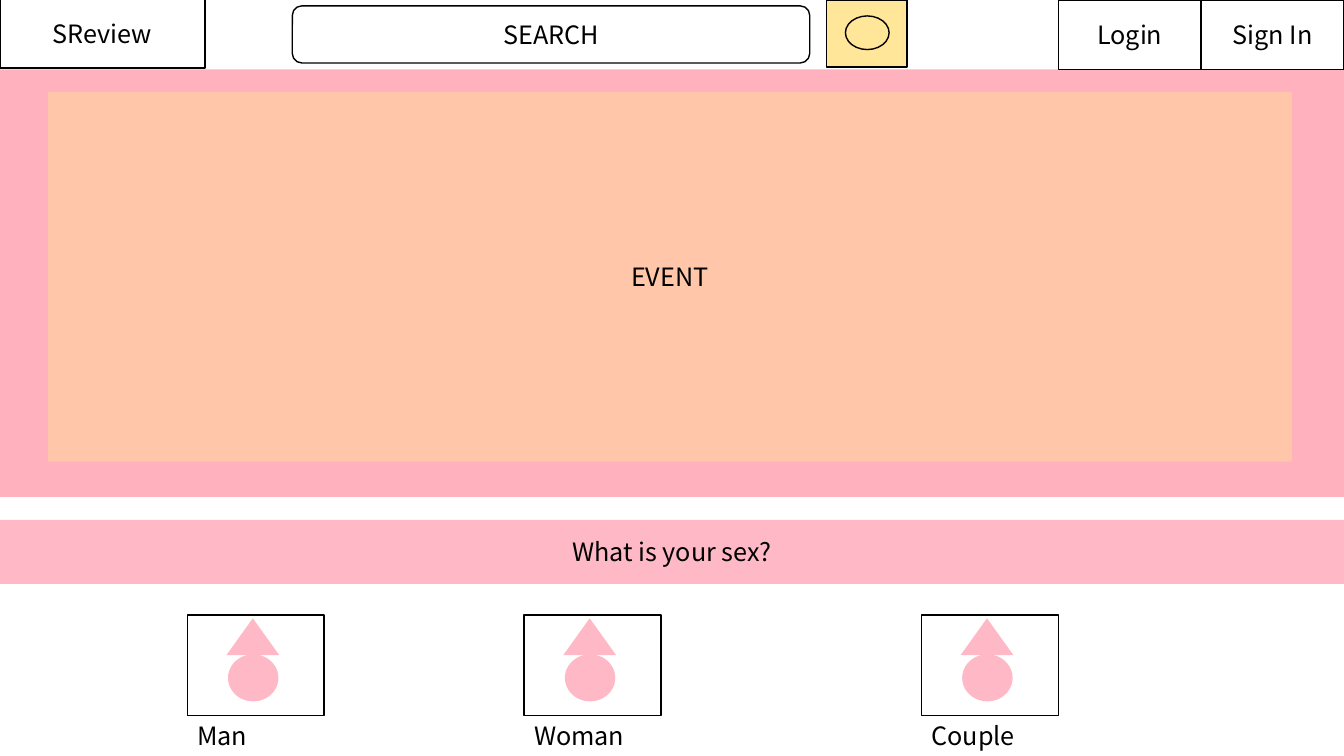
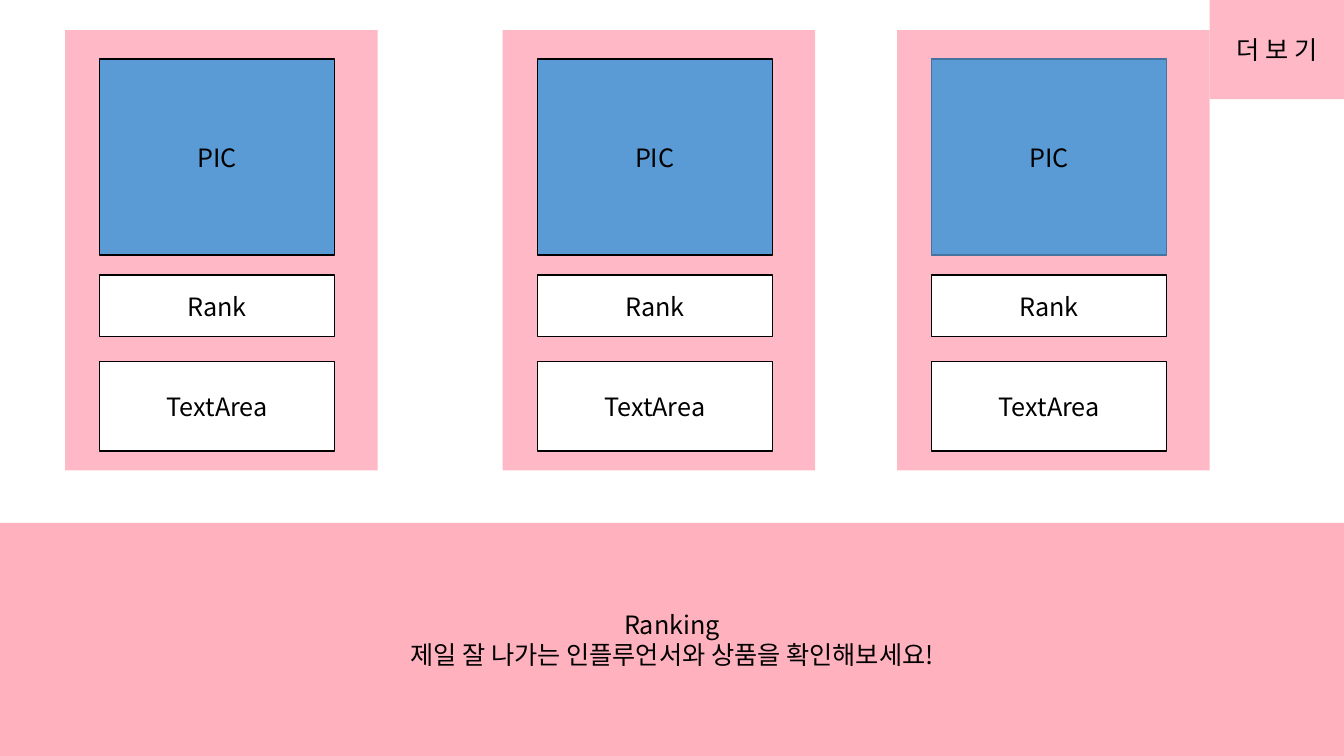
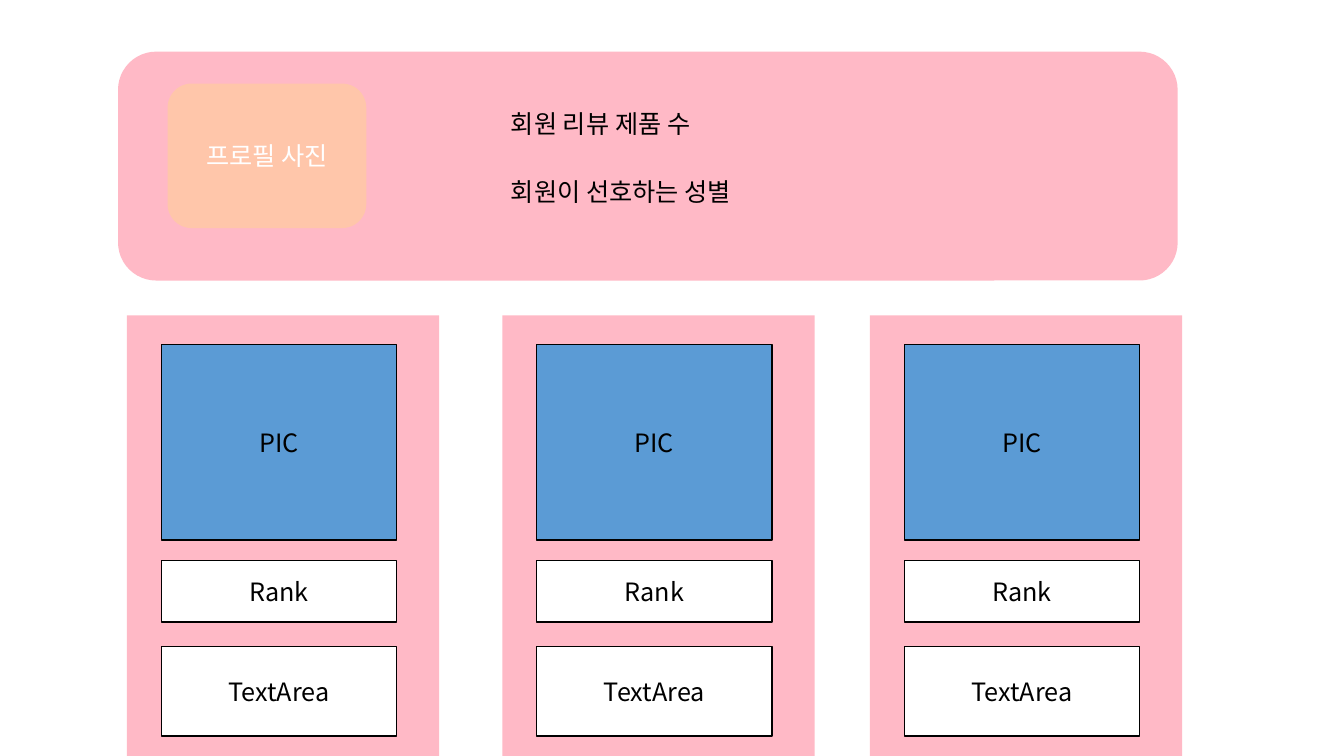
import collections

import pptx
import pptx.dml.color
import pptx.enum.shapes
import pptx.enum.text
import pptx.oxml
import pptx.oxml.ns
import pptx.util

COLORS = {
    "ink": "000000",
    "paper": "FFFFFF",
    "band": "FFB1BE",
    "panel": "FFB9C6",
    "peach": "FFC6AA",
    "yellow": "FFE699",
    "picture": "5B9BD5",
    "picture_edge": "43739E",
}
FONT = "Noto Sans CJK KR"
COLUMNS, ROWS = 160, 90
WIDTH, HEIGHT = pptx.util.Inches(13.33), pptx.util.Inches(7.5)
KINDS = pptx.enum.shapes.MSO_SHAPE
ALIGN = pptx.enum.text.PP_ALIGN
ANCHOR = pptx.enum.text.MSO_ANCHOR

Box = collections.namedtuple("Box", "left top width height")
PAGE = Box(0, 0, COLUMNS, ROWS)


def inside(box, left, top, width, height):
    return Box(box.left + left, box.top + top, width, height)


def on_slide(box):
    return (
        round(WIDTH * box.left / COLUMNS),
        round(HEIGHT * box.top / ROWS),
        round(WIDTH * box.width / COLUMNS),
        round(HEIGHT * box.height / ROWS),
    )


def color(name):
    return pptx.dml.color.RGBColor.from_string(COLORS[name])


def write(frame, lines, align, ink="ink"):
    frame.word_wrap = True
    for index, line in enumerate(lines):
        paragraph = frame.paragraphs[0] if index == 0 else frame.add_paragraph()
        paragraph.alignment = align
        run = paragraph.add_run()
        run.text = line
        run.font.size = pptx.util.Pt(18)
        run.font.name = FONT
        run.font.color.rgb = color(ink)
        east_asian = pptx.oxml.parse_xml(
            f'<a:ea {pptx.oxml.ns.nsdecls("a")} typeface="{FONT}"/>'
        )
        run.font._element.append(east_asian)


def block(slide, box, fill, lines=(), kind=KINDS.RECTANGLE, edge=None, ink="ink"):
    shape = slide.shapes.add_shape(kind, *on_slide(box))
    shape.shadow.inherit = False
    shape.fill.solid()
    shape.fill.fore_color.rgb = color(fill)
    if edge:
        shape.line.color.rgb = color(edge)
        shape.line.width = pptx.util.Pt(1)
    else:
        shape.line.fill.background()
    shape.text_frame.vertical_anchor = ANCHOR.MIDDLE
    write(shape.text_frame, lines, ALIGN.CENTER, ink)


def caption(slide, box, line):
    label = slide.shapes.add_textbox(*on_slide(box))
    label.text_frame.auto_size = pptx.enum.text.MSO_AUTO_SIZE.SHAPE_TO_FIT_TEXT
    write(label.text_frame, [line], ALIGN.LEFT)


def header(slide, box):
    block(slide, inside(box, 0, -0.1, 24.4, 8.2), "paper", ["SReview"], edge="ink")
    for column, action in ((143, "Sign In"), (126, "Login")):
        block(slide, inside(box, column, 0, 17, box.height), "paper", [action], edge="ink")
    block(slide, inside(box, 34.8, 0.7, 61.6, 6.8), "paper", ["SEARCH"],
          KINDS.ROUNDED_RECTANGLE, "ink")
    search_button = inside(box, 98.4, 0, 9.6, 8)
    block(slide, search_button, "yellow", edge="ink")
    block(slide, inside(search_button, 2.25, 1.9, 5.2, 4), "yellow",
          kind=KINDS.OVAL, edge="ink")


def event_banner(slide, box):
    block(slide, box, "band")
    block(slide, inside(box, 5.7, 2.7, 148.1, 44), "peach", ["EVENT"])


def sex_choice(slide, box, name):
    block(slide, box, "paper", edge="ink")
    block(slide, inside(box, 4.85, 4.7, 6, 5.6), "panel", kind=KINDS.OVAL)
    block(slide, inside(box, 4.65, 0.4, 6.3, 4.4), "panel", kind=KINDS.ISOSCELES_TRIANGLE)
    caption(slide, inside(box, 0, box.height, box.width, 4.8), name)


def sex_question(slide, box):
    block(slide, box, "paper")
    block(slide, inside(box, 0, 2.7, box.width, 7.6), "panel", ["What is your sex?"])
    for column, name in ((22.3, "Man"), (62.4, "Woman"), (109.7, "Couple")):
        sex_choice(slide, inside(box, column, 14, 16.3, 12), name)


def review_card(slide, box, picture_edge="ink"):
    block(slide, box, "panel")
    for row, height, fill, name, edge in (
        (3.45, 23.3, "picture", "PIC", picture_edge),
        (29.15, 7.35, "paper", "Rank", "ink"),
        (39.45, 10.65, "paper", "TextArea", "ink"),
    ):
        block(slide, inside(box, 4.1, row, 28, height), fill, [name], edge=edge)


def review_cards(slide, box, columns, picture_edges=("ink", "ink", "ink")):
    for column, edge in zip(columns, picture_edges):
        review_card(slide, inside(box, column, 0, 37.2, box.height), edge)


def profile(slide, box):
    block(slide, box, "panel", kind=KINDS.ROUNDED_RECTANGLE)
    block(slide, inside(box, 5.9, 3.8, 23.65, 17.2), "peach", ["프로필 사진"],
          KINDS.ROUNDED_RECTANGLE, ink="paper")
    for row, fact in ((6.2, "회원 리뷰 제품 수"), (14.3, "회원이 선호하는 성별")):
        caption(slide, inside(box, 45.6, row, 61.1, 4.8), fact)


def home_slide(slide):
    event_banner(slide, inside(PAGE, 0, 8.25, COLUMNS, 50.9))
    sex_question(slide, inside(PAGE, 0, 59.2, COLUMNS, 30.8))
    header(slide, inside(PAGE, 0, 0, COLUMNS, 8.25))


def ranking_slide(slide):
    review_cards(slide, inside(PAGE, 0, 3.6, COLUMNS, 52.4), (7.75, 59.85, 106.8),
                 ("ink", "ink", "picture_edge"))
    block(slide, inside(PAGE, 144, 0, 16, 11.8), "panel", ["더 보 기"])
    block(slide, inside(PAGE, 0, 62.25, COLUMNS, 27.75), "band",
          ["Ranking", "제일 잘 나가는 인플루언서와 상품을 확인해보세요!"])


def member_slide(slide):
    profile(slide, inside(PAGE, 14.05, 6.15, 126.15, 27.25))
    review_cards(slide, inside(PAGE, 0, 37.55, COLUMNS, 52.45), (15.1, 59.8, 103.55))


def main():
    deck = pptx.Presentation()
    deck.slide_width, deck.slide_height = WIDTH, HEIGHT
    for build in (home_slide, ranking_slide, member_slide):
        build(deck.slides.add_slide(deck.slide_layouts[6]))
    deck.save("out.pptx")


if __name__ == "__main__":
    main()
